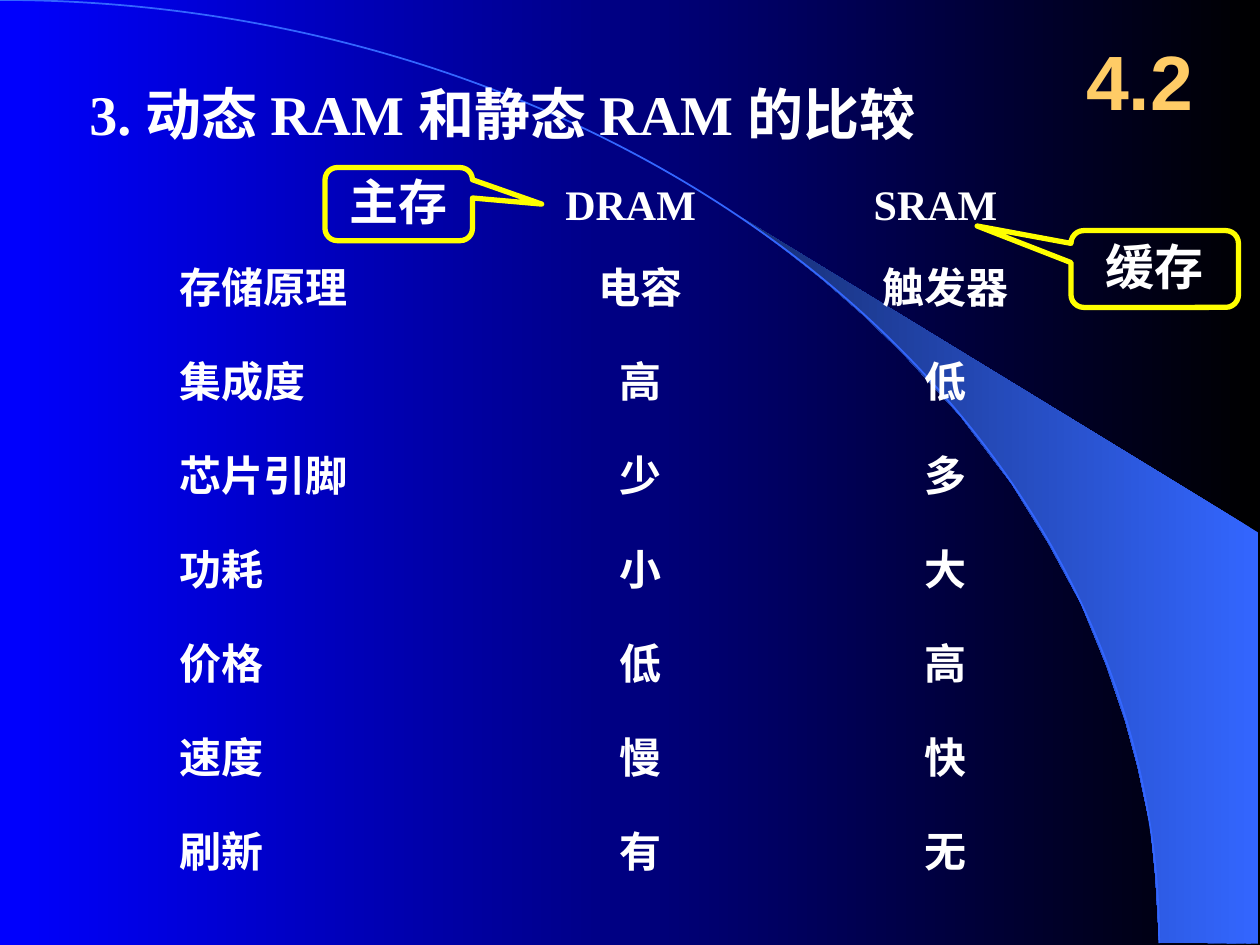
from pptx import Presentation
from pptx.dml.color import RGBColor
from pptx.enum.shapes import MSO_SHAPE
from pptx.enum.text import MSO_ANCHOR, MSO_AUTO_SIZE, PP_ALIGN
from pptx.util import Inches, Pt

BLACK = RGBColor(0x00, 0x00, 0x00)
BLUE = RGBColor(0x00, 0x00, 0xFF)
SKY = RGBColor(0x33, 0x66, 0xFF)
NAVY = RGBColor(0x17, 0x2F, 0x75)
WHITE = RGBColor(0xFF, 0xFF, 0xFF)
YELLOW = RGBColor(0xFF, 0xFF, 0x00)
GOLD = RGBColor(0xFF, 0xCC, 0x66)

SERIF = "Times New Roman"
SANS = "Arial"

WEDGE_POINTS = [
    (9.2, 7.48), (9.99, 7.49), (9.99, 4.23), (5.89, 1.73), (6.24, 1.99),
    (6.53, 2.22), (6.85, 2.5), (7.16, 2.8), (7.62, 3.3), (8.03, 3.84),
    (8.32, 4.31), (8.58, 4.79), (8.78, 5.28), (8.93, 5.72), (9.03, 6.09),
    (9.13, 6.56), (9.17, 6.96),
]
HEADERS = ["DRAM", "SRAM"]
ROWS = [
    ("存储原理", "电容", "触发器"),
    ("集成度", "高", "低"),
    ("芯片引脚", "少", "多"),
    ("功耗", "小", "大"),
    ("价格", "低", "高"),
    ("速度", "慢", "快"),
    ("刷新", "有", "无"),
]


def set_gradient(fill, start, end):
    fill.gradient()
    fill.gradient_angle = 180
    for stop, color in zip(fill.gradient_stops, (start, end)):
        stop.color.rgb = color


def write_text(frame, text, size, align, color=WHITE, font=SERIF):
    frame.word_wrap = True
    paragraph = frame.paragraphs[0]
    paragraph.alignment = align
    run = paragraph.add_run()
    run.text = text
    run.font.size = Pt(size)
    run.font.name = font
    run.font.bold = True
    run.font.color.rgb = color


def add_label(slide, left, top, width, height, text, size, align=PP_ALIGN.LEFT):
    box = slide.shapes.add_textbox(Inches(left), Inches(top), Inches(width), Inches(height))
    write_text(box.text_frame, text, size, align)
    box.text_frame.auto_size = MSO_AUTO_SIZE.SHAPE_TO_FIT_TEXT
    return box


def add_backdrop(slide, left, top, width, height):
    set_gradient(slide.background.fill, BLACK, BLUE)

    points = [(Inches(x), Inches(y)) for x, y in WEDGE_POINTS]
    builder = slide.shapes.build_freeform(*points[0])
    builder.add_line_segments(points[1:], close=True)
    wedge = builder.convert_to_shape()
    wedge.shadow.inherit = False
    wedge.line.fill.background()
    set_gradient(wedge.fill, SKY, NAVY)

    arc = slide.shapes.add_shape(
        MSO_SHAPE.ARC, Inches(left), Inches(top), Inches(width), Inches(height))
    arc.shadow.inherit = False
    arc.fill.background()
    arc.line.color.rgb = SKY
    arc.line.width = Pt(1)


def add_title(slide, left, top, width, height):
    title = add_label(slide, left, top, width, height, "3. 动态 RAM 和静态 RAM 的比较", 32)
    title.text_frame.margin_left = Inches(0.21)


def add_comparison(slide, left, top, header_top):
    cell_width, cell_height = 2.67, 0.5
    column_step, row_step = 2.42, 0.745
    header_shift = -0.08
    for column, header in enumerate(HEADERS, start=1):
        add_label(slide, left + column * column_step + header_shift, header_top,
                  cell_width, cell_height, header, 24, PP_ALIGN.CENTER)
    for row, values in enumerate(ROWS):
        for column, value in enumerate(values):
            add_label(slide, left + column * column_step, top + row * row_step,
                      cell_width, cell_height, value, 24,
                      PP_ALIGN.CENTER if column else PP_ALIGN.LEFT)


def add_callout(slide, left, top, width, height, text, tip):
    callout = slide.shapes.add_shape(
        MSO_SHAPE.ROUNDED_RECTANGULAR_CALLOUT,
        Inches(left), Inches(top), Inches(width), Inches(height))
    callout.adjustments[0], callout.adjustments[1] = tip
    callout.shadow.inherit = False
    callout.fill.background()
    callout.line.color.rgb = YELLOW
    callout.line.width = Pt(3)
    frame = callout.text_frame
    frame.margin_top = 0
    frame.margin_bottom = Inches(0.05)
    frame.vertical_anchor = MSO_ANCHOR.MIDDLE
    write_text(frame, text, 28, PP_ALIGN.CENTER)


def add_section_number(slide, left, top, width, height):
    box = slide.shapes.add_textbox(Inches(left), Inches(top), Inches(width), Inches(height))
    box.text_frame.vertical_anchor = MSO_ANCHOR.MIDDLE
    write_text(box.text_frame, "4.2", 44, PP_ALIGN.CENTER, GOLD, SANS)


def main():
    presentation = Presentation()
    presentation.slide_width = Inches(10)
    presentation.slide_height = Inches(7.5)
    slide = presentation.slides.add_slide(presentation.slide_layouts[6])
    add_backdrop(slide, -9.2, 0, 18.4, 14.97)
    add_title(slide, 0.5, 0.58, 7.5, 0.64)
    add_comparison(slide, 1.33, 2.03, 1.37)
    add_callout(slide, 2.58, 1.33, 1.17, 0.58, "主存", (0.97, 0))
    add_callout(slide, 8.5, 1.83, 1.33, 0.61, "缓存", (-1.06, -0.56))
    add_section_number(slide, 8.42, 0.17, 1.25, 0.92)
    presentation.save("out.pptx")


if __name__ == "__main__":
    main()
